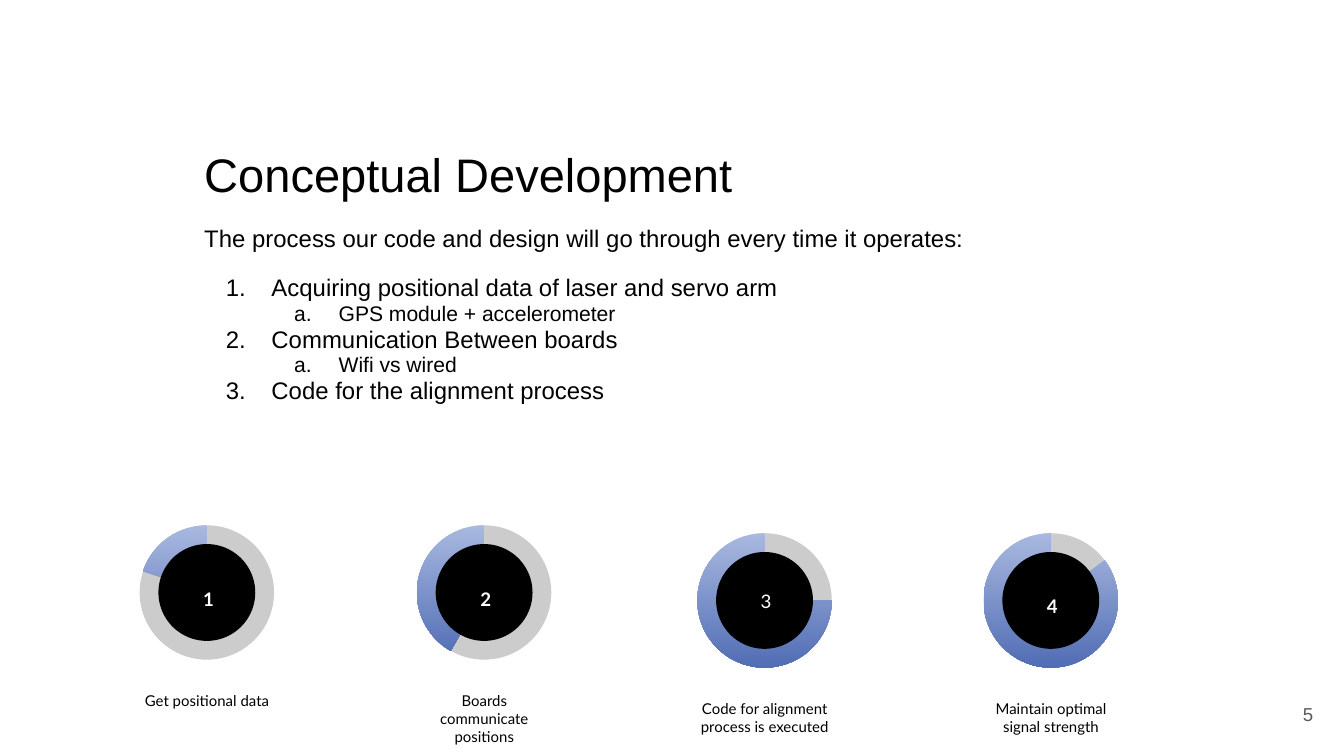
"""Build the Conceptual Development slide with its four progress rings."""
from lxml import etree
from pptx import Presentation
from pptx.dml.color import RGBColor
from pptx.enum.shapes import MSO_SHAPE
from pptx.enum.text import MSO_ANCHOR, MSO_AUTO_SIZE, PP_ALIGN
from pptx.oxml.ns import qn
from pptx.util import Cm, Pt

OVAL, PIE = MSO_SHAPE.OVAL, MSO_SHAPE.PIE
TOP, MIDDLE = MSO_ANCHOR.TOP, MSO_ANCHOR.MIDDLE
LEFT, CENTER, RIGHT = PP_ALIGN.LEFT, PP_ALIGN.CENTER, PP_ALIGN.RIGHT
NO_FIT = MSO_AUTO_SIZE.NONE

BLACK = RGBColor(0x00, 0x00, 0x00)
WHITE = RGBColor(0xFF, 0xFF, 0xFF)
TRACK_GREY = RGBColor(0xCC, 0xCC, 0xCC)
NUMBER_GREY = RGBColor(0x59, 0x59, 0x59)
LIGHT_BLUE = RGBColor(0xA8, 0xB8, 0xDF)
DEEP_BLUE = RGBColor(0x51, 0x6D, 0xB4)

RING, DISC = 2.54, 1.83
DISC_INSET = (RING - DISC) / 2


def write(holder, text, *, box, size, font="Arial", color=BLACK, bold=False,
          align=LEFT, anchor=TOP, spacing=1.0, after=0):
    holder.left, holder.top, holder.width, holder.height = map(Cm, box)
    frame = holder.text_frame
    frame.word_wrap = True
    frame.auto_size = NO_FIT
    frame.vertical_anchor = anchor
    frame.margin_left = frame.margin_right = Cm(0.25)
    frame.margin_top = frame.margin_bottom = Cm(0.25)
    frame.text = text
    for paragraph in frame.paragraphs:
        paragraph.alignment = align
        paragraph.line_spacing = spacing
        paragraph.space_before = Pt(0)
        paragraph.space_after = Pt(after)
        for run in paragraph.runs:
            run.font.name = font
            run.font.size = Pt(size)
            run.font.bold = bold
            run.font.color.rgb = color
    return frame


def add_disc(kind, left, top, size, color):
    disc = slide.shapes.add_shape(kind, Cm(left), Cm(top), Cm(size), Cm(size))
    disc.shadow.inherit = False
    disc.line.fill.background()
    disc.fill.solid()
    disc.fill.fore_color.rgb = color
    return disc


prs = Presentation()
prs.slide_width, prs.slide_height = Cm(25.4), Cm(14.29)
slide = prs.slides.add_slide(prs.slide_layouts[1])

write(slide.shapes.title, "Conceptual Development",
      box=(3.61, 2.34, 15.57, 1.65), size=25.2, spacing=1.15, after=16)

outline = [
    ("The process our code and design will go through every time it operates:", None),
    ("Acquiring positional data of laser and servo arm", 0),
    ("GPS module + accelerometer", 1),
    ("Communication Between boards", 0),
    ("Wifi vs wired", 1),
    ("Code for the alignment process", 0),
]
process = write(slide.placeholders[1], "\n".join(line for line, _ in outline),
                box=(3.61, 4.01, 16.92, 5.13), size=12.8, spacing=0.95)
for paragraph, (_, level) in zip(process.paragraphs, outline):
    props = paragraph._p.get_or_add_pPr()
    if level is None:
        props.set("marL", "0")
        props.set("indent", "0")
        etree.SubElement(props, qn("a:buNone"))
        continue
    paragraph.level = level
    props.set("marL", str(Cm(1.27 * (level + 1))))
    props.set("indent", str(Cm(-0.86 + 0.02 * level)))
    bullet_color = etree.SubElement(props, qn("a:buClr"))
    etree.SubElement(bullet_color, qn("a:srgbClr"), val=str(BLACK))
    etree.SubElement(props, qn("a:buFont"), typeface="Arial")
    numbering = "alphaLcPeriod" if level else "arabicPeriod"
    etree.SubElement(props, qn("a:buAutoNum"), type=numbering)
    if level:
        paragraph.runs[0].font.size = Pt(11.3)
process.paragraphs[1].space_before = Pt(12)

steps = [
    ("1", "Get positional data", 2.64, 9.93, 198.5, True),
    ("2", "Boards communicate positions", 7.88, 9.93, 119.7, True),
    ("3", "Code for alignment process is executed", 13.18, 10.08, 0, False),
    ("4", "Maintain optimal signal strength", 18.59, 10.08, 323.5, True),
]
for number, caption, left, top, start, bold in steps:
    add_disc(OVAL, left, top, RING, TRACK_GREY)
    progress = add_disc(PIE, left, top, RING, LIGHT_BLUE)
    progress.adjustments[0] = start * 0.6
    progress.adjustments[1] = 270 * 0.6
    progress.fill.gradient()
    progress.fill.gradient_angle = 270
    for stop, shade in zip(progress.fill.gradient_stops, (LIGHT_BLUE, DEEP_BLUE)):
        stop.color.rgb = shade
    add_disc(OVAL, left + DISC_INSET, top + DISC_INSET, DISC, BLACK)
    write(slide.shapes.add_textbox(0, 0, 0, 0), number,
          box=(left + 0.65, top + (0.86 if bold else 0.76), 1.3, 0.76), size=10,
          font="Lato", color=WHITE, bold=bold, align=CENTER, spacing=1.15)
    write(slide.shapes.add_textbox(0, 0, 0, 0), caption,
          box=(left - 0.2, top + 2.9, 2.95, 1.22), size=8,
          font="Lato", align=CENTER, after=16)

write(slide.shapes.add_textbox(0, 0, 0, 0), "5", box=(23.55, 12.95, 1.52, 1.09),
      size=10, color=NUMBER_GREY, align=RIGHT, anchor=MIDDLE)

prs.save("out.pptx")
